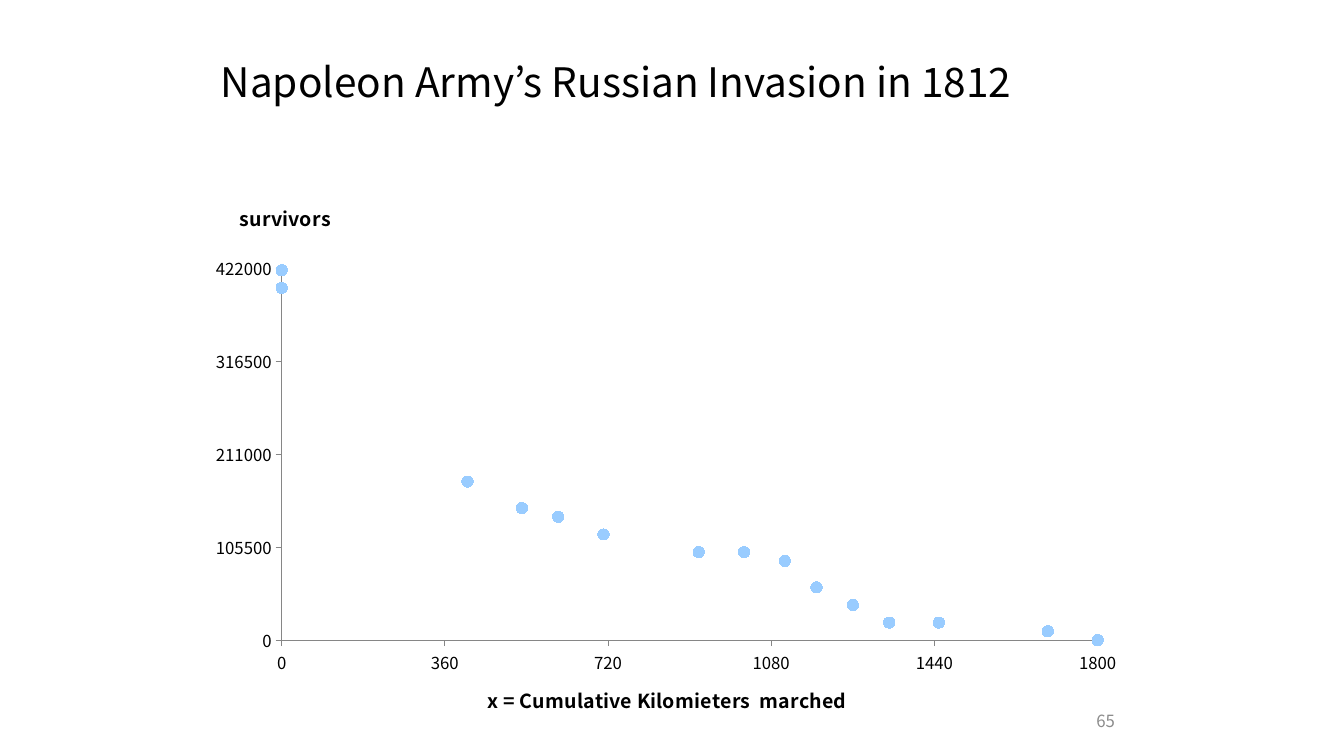
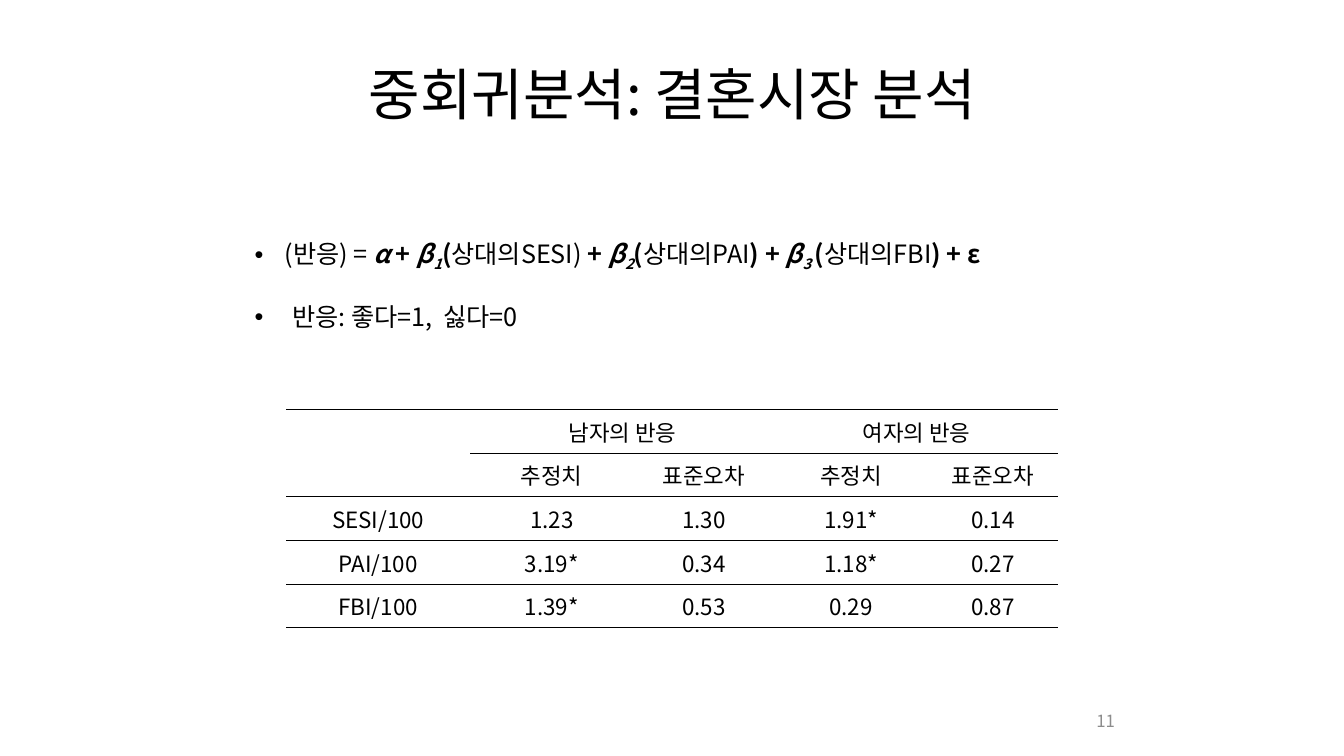
from dataclasses import dataclass

from lxml import etree
from pptx import Presentation
from pptx.chart.data import XyChartData
from pptx.dml.color import RGBColor
from pptx.enum.chart import XL_CHART_TYPE, XL_MARKER_STYLE, XL_TICK_MARK
from pptx.enum.text import MSO_ANCHOR, PP_ALIGN
from pptx.oxml.ns import qn
from pptx.util import Cm, Pt

SCATTER = XL_CHART_TYPE.XY_SCATTER
CIRCLE = XL_MARKER_STYLE.CIRCLE
TICK_OUTSIDE, TICK_NONE = XL_TICK_MARK.OUTSIDE, XL_TICK_MARK.NONE
MIDDLE = MSO_ANCHOR.MIDDLE
LEFT, CENTER, RIGHT, JUSTIFY = PP_ALIGN.LEFT, PP_ALIGN.CENTER, PP_ALIGN.RIGHT, PP_ALIGN.JUSTIFY
TITLE_ONLY = 5


@dataclass(frozen=True)
class Theme:
    font: str = "Noto Sans CJK KR"
    text: RGBColor = RGBColor(0x00, 0x00, 0x00)
    muted: RGBColor = RGBColor(0x8C, 0x8C, 0x8C)
    axis: RGBColor = RGBColor(0x86, 0x86, 0x86)
    marker: RGBColor = RGBColor(0x99, 0xCC, 0xFF)
    body_size: Pt = Pt(18)
    table_size: Pt = Pt(16)
    axis_title_size: Pt = Pt(14)
    small_size: Pt = Pt(12)


theme = Theme()


def style_text(text_frame, size, alignment, color=theme.text):
    """Format every run, setting the font for Latin and Korean letters alike."""
    for paragraph in text_frame.paragraphs:
        paragraph.alignment = alignment
        for run in paragraph.runs:
            run.font.name = theme.font
            run.font.size = size
            run.font.color.rgb = color
            latin = run.font._element.find(qn("a:latin"))
            east_asian = etree.Element(qn("a:ea"), typeface=theme.font)
            latin.addnext(east_asian)


def set_chart_layout(parent, **values):
    """Place a chart part by hand, in fractions of the chart's size."""
    for old_layout in parent.findall(qn("c:layout")):
        parent.remove(old_layout)
    layout = etree.Element(qn("c:layout"))
    manual = etree.SubElement(layout, qn("c:manualLayout"))
    for name, value in values.items():
        etree.SubElement(manual, qn(f"c:{name}"), val=str(value))
    parent.insert(len(parent.findall(qn("c:tx"))), layout)


presentation = Presentation()
presentation.slide_width = Cm(33.87)
presentation.slide_height = Cm(19.05)

# Titles and page numbers
pages = [
    ("Napoleon Army’s Russian Invasion in 1812", Pt(29), LEFT, 0.9, (5.31, 0.51, 23.42, 3.23), "65"),
    ("중회귀분석: 결혼시장 분석", Pt(40), CENTER, 1.0, (5.51, 0.76, 22.86, 3.18), "11"),
]
for title_text, title_size, alignment, line_spacing, box, page_number in pages:
    slide = presentation.slides.add_slide(presentation.slide_layouts[TITLE_ONLY])
    title = slide.shapes.title
    title.left, title.top, title.width, title.height = map(Cm, box)
    title.text_frame.text = title_text
    title.text_frame.vertical_anchor = MIDDLE
    title.text_frame.paragraphs[0].line_spacing = line_spacing
    style_text(title.text_frame, title_size, alignment)

    number_box = slide.shapes.add_textbox(Cm(22.43), Cm(17.65), Cm(5.92), Cm(1.02))
    number_box.text_frame.word_wrap = True
    number_box.text_frame.text = page_number
    number_box.text_frame.vertical_anchor = MIDDLE
    style_text(number_box.text_frame, theme.small_size, RIGHT, theme.muted)

invasion_slide, regression_slide = presentation.slides

# Survivors by distance marched
march = [
    (0, 420000), (0, 400000), (410, 180000), (530, 150000), (610, 140000),
    (710, 120000), (920, 100000), (1020, 100000), (1110, 90000), (1180, 60000),
    (1260, 40000), (1340, 20000), (1450, 20000), (1690, 10000), (1800, 0),
]
chart_data = XyChartData()
march_series = chart_data.add_series("Series 1")
for kilometers, survivors in march:
    march_series.add_data_point(kilometers, survivors)

chart = invasion_slide.shapes.add_chart(
    SCATTER, Cm(5.44), Cm(3.33), Cm(22.91), Cm(14.81), chart_data
).chart
chart.has_title = False
chart.has_legend = False
chart.font.name = theme.font
chart.font.size = theme.small_size
chart.font.color.rgb = theme.text
set_chart_layout(
    chart.element.find(".//" + qn("c:plotArea")),
    layoutTarget="inner", xMode="edge", yMode="edge", x=0.071, y=0.235, w=0.899, h=0.641,
)

plot = chart.plots[0]
plot.vary_by_categories = False
series = plot.series[0]
series.smooth = False
series.format.line.fill.background()
series.marker.style = CIRCLE
series.marker.size = 8
series.marker.format.fill.solid()
series.marker.format.fill.fore_color.rgb = theme.marker
series.marker.format.line.fill.background()

axes = [
    (chart.category_axis, "x = Cumulative Kilomieters  marched", 1800, 360, 0.294, 0.945),
    (chart.value_axis, "survivors", 422200, 105500, 0.021, 0.114),
]
for axis, axis_text, maximum, step, title_x, title_y in axes:
    axis.minimum_scale = 0
    axis.maximum_scale = maximum
    axis.major_unit = step
    axis.has_major_gridlines = False
    axis.has_minor_gridlines = False
    axis.major_tick_mark = TICK_OUTSIDE
    axis.minor_tick_mark = TICK_NONE
    axis.format.line.color.rgb = theme.axis
    axis.format.line.width = Pt(0.75)
    axis_title = axis.axis_title
    axis_title.text_frame.text = axis_text
    style_text(axis_title.text_frame, theme.axis_title_size, CENTER)
    axis_title.text_frame.paragraphs[0].runs[0].font.bold = True
    axis_title.element.find(".//" + qn("a:bodyPr")).set("rot", "0")
    set_chart_layout(axis_title.element, xMode="edge", yMode="edge", x=title_x, y=title_y)

# Regression model: b is bold, i italic, s subscript
model = [
    (1.42, [
        ("(반응) = ", ""), ("α", "bi"), (" + ", "b"),
        ("β", "bi"), ("1", "bis"), ("(", "b"), ("상대의SESI) ", ""), ("+ ", "b"),
        ("β", "bi"), ("2", "bis"), ("(", "b"), ("상대의PAI", ""), (") + ", "b"),
        ("β", "bi"), ("3 ", "bis"), ("(", "b"), ("상대의FBI", ""), (") + ε", "b"),
    ]),
    (1.6, [("반응: 좋다=1,  싫다=0", "")]),
]
BULLET_LEFT = 0.66
model_box = regression_slide.shapes.add_textbox(Cm(5.51), Cm(5.44), Cm(22.86), Cm(4))
model_frame = model_box.text_frame
model_frame.word_wrap = True
for index, (margin, parts) in enumerate(model):
    paragraph = model_frame.add_paragraph() if index else model_frame.paragraphs[0]
    paragraph.line_spacing = 1.5
    paragraph.space_before = Pt(10)
    properties = paragraph._p.get_or_add_pPr()
    properties.set("marL", str(Cm(margin)))
    properties.set("indent", str(Cm(BULLET_LEFT) - Cm(margin)))
    etree.SubElement(properties, qn("a:buFont"), typeface="Arial")
    etree.SubElement(properties, qn("a:buChar"), char="•")
    for text, style in parts:
        run = paragraph.add_run()
        run.text = text
        run.font.bold = "b" in style
        run.font.italic = "i" in style
        if "s" in style:
            run.font._element.set("baseline", "-25000")
style_text(model_frame, theme.body_size, JUSTIFY)

# Estimates
NO_STYLE_NO_GRID = "{2D5ABB26-0587-4C30-8999-92F81FD0307C}"
estimates = [
    ["", "남자의 반응", "", "여자의 반응", ""],
    ["", "추정치", "표준오차", "추정치", "표준오차"],
    ["SESI/100", "1.23", "1.30", "1.91*", "0.14"],
    ["PAI/100", "3.19*", "0.34", "1.18*", "0.27"],
    ["FBI/100", "1.39*", "0.53", "0.29", "0.87"],
]
column_widths = [4.64, 4.11, 3.56, 3.85, 3.3]
row_height = 1.1
table = regression_slide.shapes.add_table(
    len(estimates), len(column_widths), Cm(7.21), Cm(10.32),
    Cm(sum(column_widths)), Cm(row_height * len(estimates)),
).table
table.first_row = False
table.horz_banding = False
table._tbl.tblPr.find(qn("a:tableStyleId")).text = NO_STYLE_NO_GRID
for column, width in zip(table.columns, column_widths):
    column.width = Cm(width)
for row_index, row_texts in enumerate(estimates):
    table.rows[row_index].height = Cm(row_height)
    for column_index, text in enumerate(row_texts):
        cell = table.cell(row_index, column_index)
        cell.fill.background()
        cell.vertical_anchor = MIDDLE
        if text:
            cell.text_frame.text = text
            style_text(cell.text_frame, theme.table_size, CENTER)
        edges = []
        if row_index == 0:
            edges.append("a:lnT")
        if row_index or column_index:
            edges.append("a:lnB")
        for position, edge in enumerate(edges):
            border = etree.Element(qn(edge), w=str(Pt(1)))
            fill = etree.SubElement(border, qn("a:solidFill"))
            etree.SubElement(fill, qn("a:srgbClr"), val=str(theme.text))
            cell._tc.get_or_add_tcPr().insert(position, border)
for first_column in (1, 3):
    table.cell(0, first_column).merge(table.cell(0, first_column + 1))

presentation.save("out.pptx")
